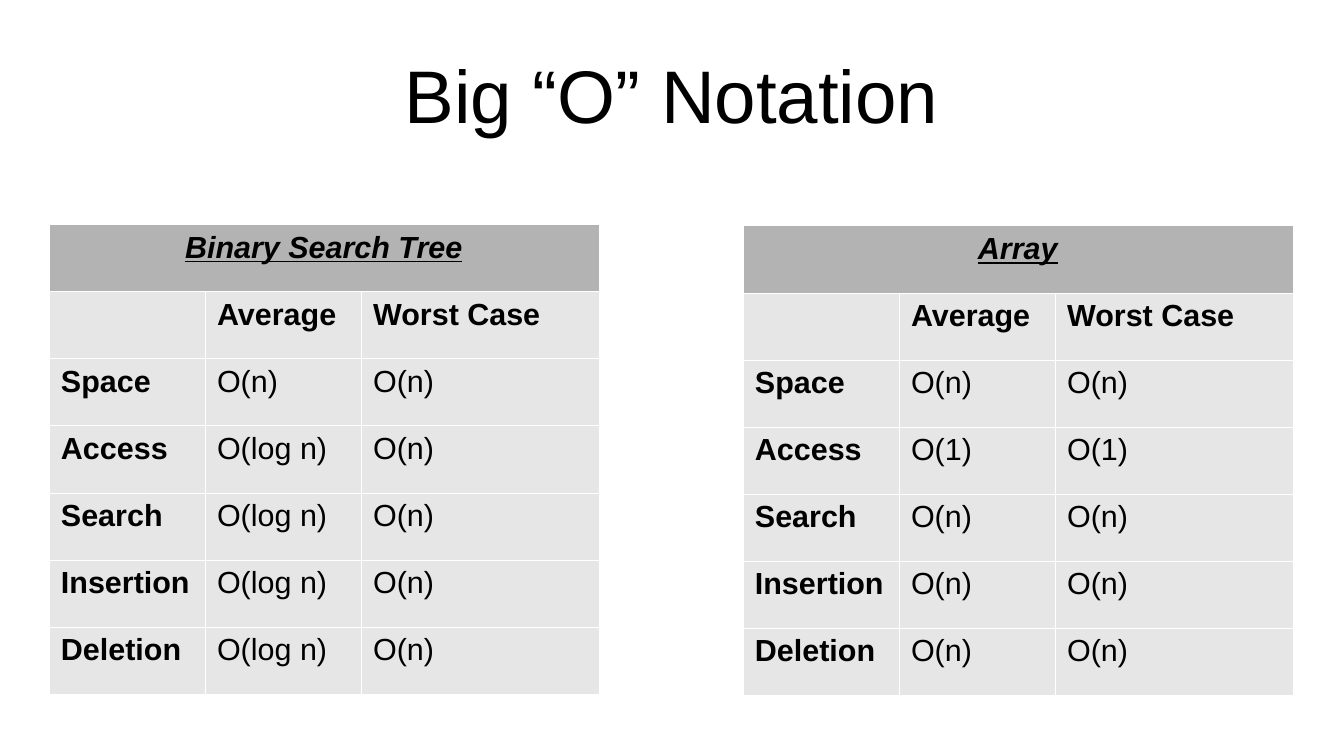
import pptx
import pptx.dml.color
import pptx.enum.text
import pptx.oxml
import pptx.oxml.ns
import pptx.util

THEME = {
    "font": "Arial",
    "title_size": 44,
    "table_size": 18,
    "text": "000000",
    "heading_fill": "B3B3B3",
    "body_fill": "E6E6E6",
    "border": "FFFFFF",
    "border_width": 0.06,
}
SLIDE_WIDTH, SLIDE_HEIGHT = pptx.util.Inches(11.02), pptx.util.Inches(6.2)
COLUMN_WIDTHS = [pptx.util.Inches(width) for width in (1.28, 1.28, 1.95)]
ROW_HEIGHT = pptx.util.Inches(0.55)

OPERATIONS = ["Space", "Access", "Search", "Insertion", "Deletion"]
# Each table: heading, left, top, average costs, worst costs
TABLES = [
    ("Binary Search Tree", 0.4, 1.84, ["O(n)"] + ["O(log n)"] * 4, ["O(n)"] * 5),
    ("Array", 6.09, 1.85, *[["O(n)", "O(1)", "O(n)", "O(n)", "O(n)"]] * 2),
]


def add_text(paragraph, text, size, bold=False, heading=False):
    run = paragraph.add_run()
    run.text = text
    font = run.font
    font.name, font.size = THEME["font"], pptx.util.Pt(size)
    font.bold, font.italic, font.underline = bold, heading, heading
    font.color.rgb = pptx.dml.color.RGBColor.from_string(THEME["text"])
    if heading or size == THEME["title_size"]:
        paragraph.alignment = pptx.enum.text.PP_ALIGN.CENTER


def style_cell(cell, color):
    properties = cell._tc.get_or_add_tcPr()
    width = int(pptx.util.Pt(THEME["border_width"]))
    for side in ("lnL", "lnR", "lnT", "lnB"):
        properties.append(pptx.oxml.parse_xml(
            f'<a:{side} {pptx.oxml.ns.nsdecls("a")} w="{width}"><a:solidFill>'
            f'<a:srgbClr val="{THEME["border"]}"/></a:solidFill></a:{side}>'))
    cell.fill.solid()
    cell.fill.fore_color.rgb = pptx.dml.color.RGBColor.from_string(color)


presentation = pptx.Presentation()
presentation.slide_width, presentation.slide_height = SLIDE_WIDTH, SLIDE_HEIGHT
slide = presentation.slides.add_slide(presentation.slide_layouts[6])

# Title, centred between equal side margins
title_margin = int(SLIDE_WIDTH * 0.05)
title = slide.shapes.add_textbox(title_margin, int(SLIDE_HEIGHT * 0.04),
                                 SLIDE_WIDTH - 2 * title_margin, pptx.util.Inches(1.04))
frame = title.text_frame
frame.word_wrap = True
frame.vertical_anchor = pptx.enum.text.MSO_ANCHOR.MIDDLE
frame.margin_left = frame.margin_right = frame.margin_top = frame.margin_bottom = 0
add_text(frame.paragraphs[0], "Big “O” Notation", THEME["title_size"])

# Cost tables
for heading, left, top, average, worst in TABLES:
    rows = [(heading, "", ""), ("", "Average", "Worst Case"),
            *zip(OPERATIONS, average, worst)]
    table = slide.shapes.add_table(
        len(rows), len(COLUMN_WIDTHS), pptx.util.Inches(left), pptx.util.Inches(top),
        sum(COLUMN_WIDTHS), ROW_HEIGHT * len(rows)).table
    table.first_row = table.horz_banding = False
    for column, width in zip(table.columns, COLUMN_WIDTHS):
        column.width = width
    table.cell(0, 0).merge(table.cell(0, len(COLUMN_WIDTHS) - 1))

    for row_index, row in enumerate(rows):
        table.rows[row_index].height = ROW_HEIGHT
        is_heading = row_index == 0
        for column_index, text in enumerate(row):
            cell = table.cell(row_index, column_index)
            style_cell(cell, THEME["heading_fill" if is_heading else "body_fill"])
            if text:
                is_label = row_index < 2 or column_index == 0
                add_text(cell.text_frame.paragraphs[0], text, THEME["table_size"],
                         is_label, is_heading)

presentation.save("out.pptx")
